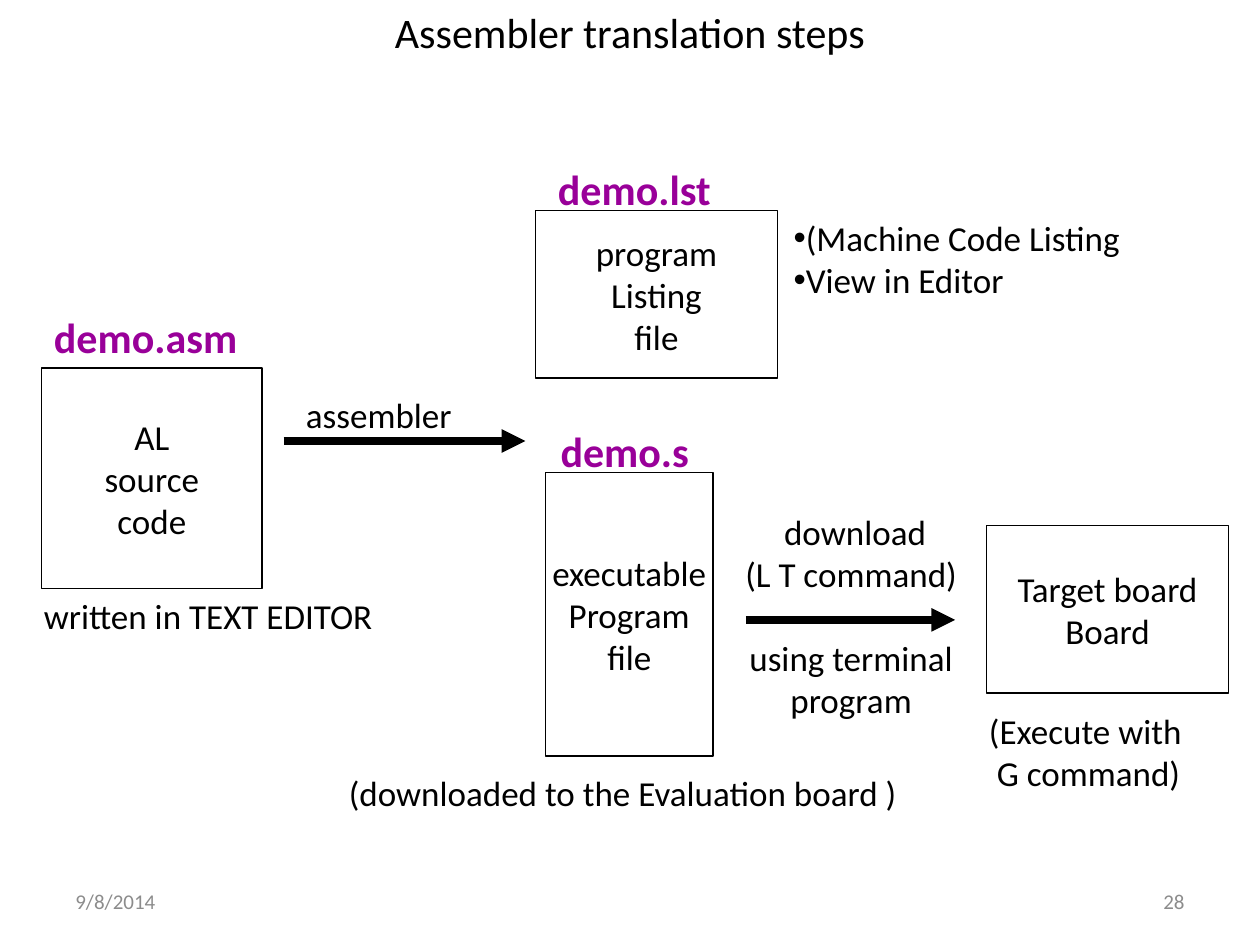
from lxml.etree import SubElement
from pptx import Presentation
from pptx.dml.color import RGBColor
from pptx.enum.shapes import MSO_CONNECTOR, MSO_SHAPE
from pptx.enum.text import MSO_ANCHOR, PP_ALIGN
from pptx.oxml.ns import qn
from pptx.util import Inches, Pt

COLORS = {"ink": "000000", "file_name": "990099", "footer": "8C8C8C"}
FONT = "Calibri"


def color(name):
    return RGBColor.from_string(COLORS[name])


def write(frame, lines, size=20, ink="ink", bold=False, align=PP_ALIGN.LEFT,
          anchor=MSO_ANCHOR.TOP, wrap=True):
    frame.word_wrap = wrap
    frame.vertical_anchor = anchor
    for index, line in enumerate(lines):
        paragraph = frame.add_paragraph() if index else frame.paragraphs[0]
        paragraph.alignment = align
        run = paragraph.add_run()
        run.text = line
        run.font.name = FONT
        run.font.size = Pt(size)
        run.font.bold = bold
        run.font.color.rgb = color(ink)


def add_label(slide, box, lines, **style):
    shape = slide.shapes.add_textbox(*map(Inches, box))
    write(shape.text_frame, lines, **style)
    return shape.text_frame


def add_stage(slide, box, lines):
    shape = slide.shapes.add_shape(MSO_SHAPE.RECTANGLE, *map(Inches, box))
    shape.shadow.inherit = False
    shape.fill.background()
    shape.line.color.rgb = color("ink")
    shape.line.width = Pt(0.75)
    write(shape.text_frame, lines, align=PP_ALIGN.CENTER,
          anchor=MSO_ANCHOR.MIDDLE, wrap=False)


def add_file(slide, box, name, name_shift, name_rise, lines):
    left, top, width, height = box
    add_stage(slide, box, lines)
    add_label(slide, (left + name_shift, top - name_rise, 1.85, 0.5), [name],
              size=24, ink="file_name", bold=True)


def add_arrow(slide, left, top, length):
    connector = slide.shapes.add_connector(
        MSO_CONNECTOR.STRAIGHT, Inches(left), Inches(top),
        Inches(left + length), Inches(top))
    connector.line.color.rgb = color("ink")
    connector.line.width = Pt(4.5)
    line = connector._element.spPr.find(qn("a:ln"))
    SubElement(line, qn("a:tailEnd"), type="triangle")
    SubElement(connector._element.spPr, qn("a:effectLst"))


def add_assembly(slide, box):
    left, top, width, height = box
    add_arrow(slide, left, top + height, width)
    add_label(slide, (left + 0.08, top, width - 0.09, height), ["assembler"])


def add_download(slide, box):
    left, top, width, height = box
    frame = add_label(slide, box,
                      [" download", "(L T command)", "using terminal program"],
                      align=PP_ALIGN.CENTER)
    frame.paragraphs[2].space_before = Pt(24)
    add_arrow(slide, left + 0.25, top + 0.92, width - 0.51)


def add_listing_notes(slide, box):
    frame = add_label(slide, box, ["(Machine Code Listing", "View in Editor"])
    for paragraph in frame.paragraphs:
        properties = paragraph._p.get_or_add_pPr()
        SubElement(properties, qn("a:buFont"), typeface="Arial")
        SubElement(properties, qn("a:buChar"), char="•")


def add_footer(slide, box, date, number):
    left, top, width, height = box
    field = 2.33
    style = {"size": 12, "ink": "footer", "anchor": MSO_ANCHOR.MIDDLE}
    add_label(slide, (left, top, field, height), [date], **style)
    add_label(slide, (left + width - field, top, field, height), [number],
              align=PP_ALIGN.RIGHT, **style)


def build_steps_slide(presentation):
    slide = presentation.slides.add_slide(presentation.slide_layouts[6])
    add_label(slide, (0.5, 0, 9, 0.5), ["Assembler translation steps"], size=24,
              align=PP_ALIGN.CENTER, anchor=MSO_ANCHOR.MIDDLE)
    add_file(slide, (0.33, 2.92, 1.75, 1.75), "demo.asm", 0, 0.5,
             ["AL", "source", "code"])
    add_label(slide, (0.25, 4.67, 2.84, 0.44), ["written in TEXT EDITOR"])
    add_assembly(slide, (2.25, 3.07, 1.92, 0.43))
    add_file(slide, (4.25, 1.67, 1.92, 1.33), "demo.lst", 0.08, 0.42,
             ["program", "Listing", "file"])
    add_listing_notes(slide, (6.2, 1.67, 2.82, 0.77))
    add_file(slide, (4.33, 3.75, 1.33, 2.25), "demo.s", 0.02, 0.42,
             ["executable", "Program", "file"])
    add_label(slide, (2.67, 6.07, 5.17, 0.43),
              ["(downloaded to the Evaluation board )"])
    add_download(slide, (5.67, 4, 2.17, 1.77))
    add_stage(slide, (7.83, 4.17, 1.92, 1.33), ["Target board", "Board"])
    add_label(slide, (7.75, 5.58, 2.25, 0.8), ["(Execute with", " G command)"])
    add_footer(slide, (0.5, 6.95, 9, 0.4), "9/8/2014", "28")


presentation = Presentation()
presentation.slide_width = Inches(10)
presentation.slide_height = Inches(7.5)
build_steps_slide(presentation)
presentation.save("out.pptx")
